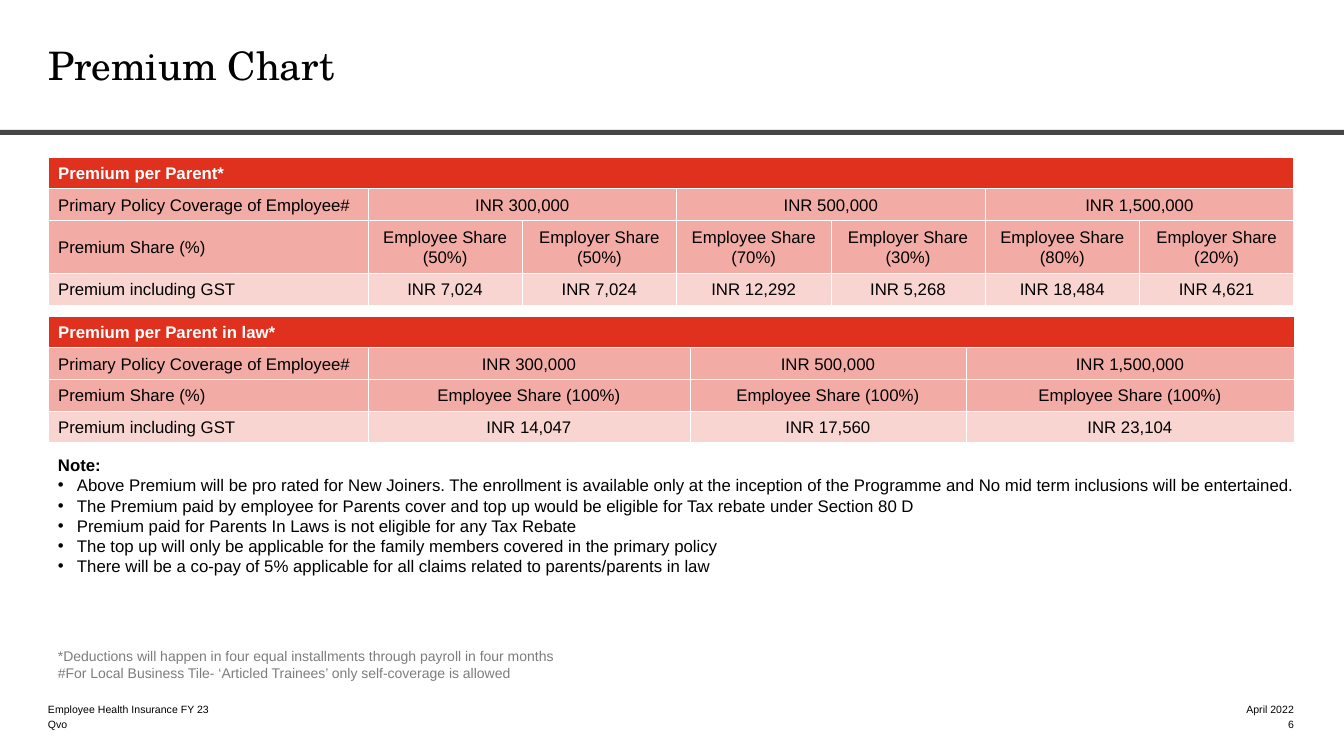
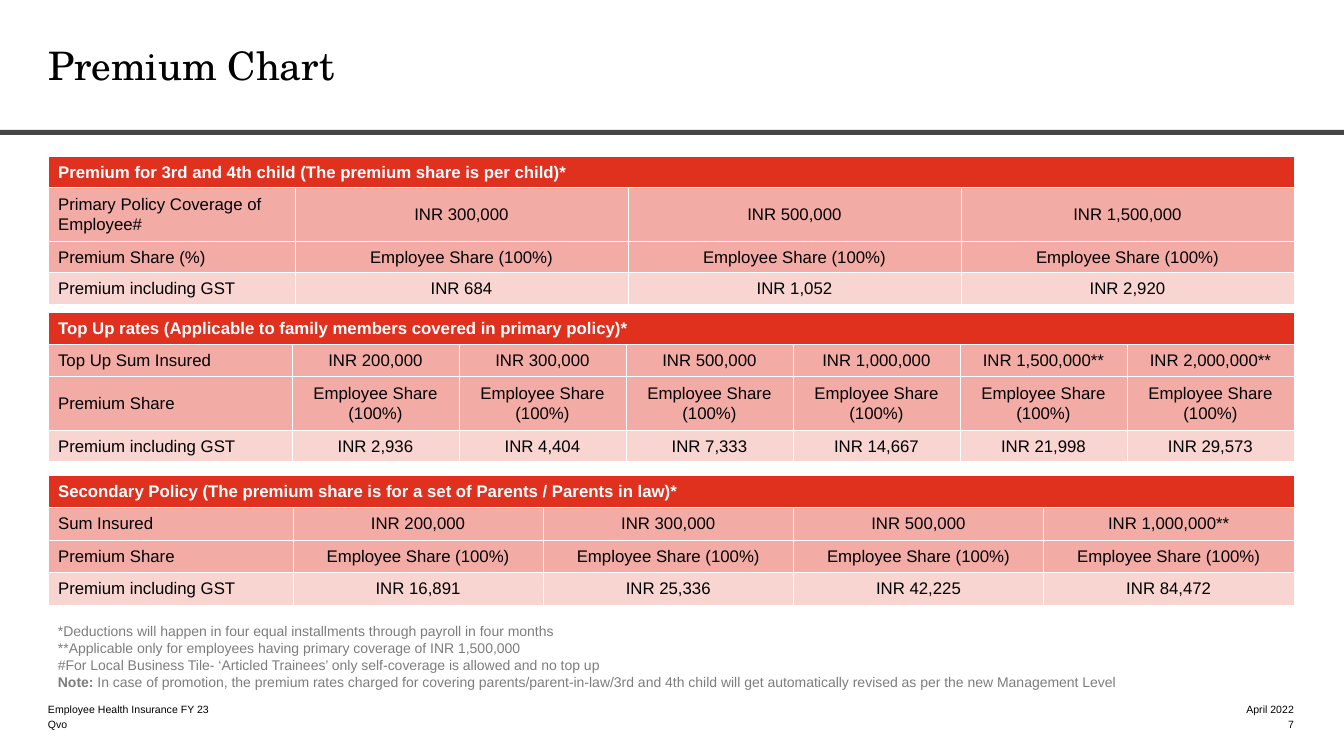
from dataclasses import dataclass

from lxml import etree
from pptx import Presentation
from pptx import util as u
from pptx.dml.color import RGBColor
from pptx.enum import shapes, text
from pptx.oxml import ns

PX = 914400 / 100.8


@dataclass(frozen=True)
class Theme:
    ink: str = "000000"
    white: str = "FFFFFF"
    band: str = "464646"
    head: str = "E0301E"
    mid: str = "F3ACA5"
    pale: str = "F9D5D2"
    gray: str = "7D7D7D"
    serif: str = "TeX Gyre Schola"
    sans: str = "Arial"
    title: float = 28
    body: float = 12
    small: float = 10
    foot: float = 7.5


T = Theme()
LEFT, WIDE = 48, 1246
MID = text.MSO_ANCHOR.MIDDLE
START, CENTER, END = text.PP_ALIGN.LEFT, text.PP_ALIGN.CENTER, text.PP_ALIGN.RIGHT


def write(par, runs, size, color, align=START, font=T.sans):
    """Add (words, bold) runs to a paragraph."""
    par.alignment = align
    for words, bold in runs:
        run = par.add_run()
        run.text = words
        run.font.name, run.font.size, run.font.bold = font, u.Pt(size), bold
        run.font.color.rgb = RGBColor.from_string(color)


def box(slide, at, lines, size, color, align=START, flush=False):
    """Add a wrapped text box; flush drops the insets and sits text at the base."""
    frame = slide.shapes.add_textbox(*(int(v * PX) for v in at)).text_frame
    frame.word_wrap = True
    if flush:
        frame.margin_left = frame.margin_right = frame.margin_top = frame.margin_bottom = 0
        frame.vertical_anchor = text.MSO_ANCHOR.BOTTOM
    for i, runs in enumerate(lines):
        par = frame.add_paragraph() if i else frame.paragraphs[0]
        write(par, runs, size, color, align)
    return frame


# Wording used in several tables
COVER = ["Primary Policy Coverage of Employee#", "INR 300,000", "INR 500,000", "INR 1,500,000"]
FULL = "Employee Share (100%)"
GST = "Premium including GST"
CUT = "*Deductions will happen in four equal installments through payroll in four months"
TILE = "#For Local Business Tile- ‘Articled Trainees’ only self-coverage is allowed"

# Tables: top, column widths (None: equal share of the rest), row heights, rows
parent = (157, [320] + [None] * 6, [30, 30, 50, 30], [
    ["Premium per Parent*"],
    COVER,
    ["Premium Share (%)", "Employee Share (50%)", "Employer Share (50%)",
     "Employee Share (70%)", "Employer Share (30%)",
     "Employee Share (80%)", "Employer Share (20%)"],
    [GST, "INR 7,024", "INR 7,024", "INR 12,292", "INR 5,268", "INR 18,484", "INR 4,621"],
])
inlaw = (316, [320, 322, 276, 328], [30] * 4, [
    ["Premium per Parent in law*"],
    COVER,
    ["Premium Share (%)"] + [FULL] * 3,
    [GST, "INR 14,047", "INR 17,560", "INR 23,104"],
])
child = (156, [247] + [None] * 3, [30, 51, 30, 30], [
    ["Premium for 3rd and 4th child (The premium share is per child)*"],
    COVER,
    ["Premium Share (%)"] + [FULL] * 3,
    [GST, "INR 684", "INR 1,052", "INR 2,920"],
])
topup = (312, [244] + [None] * 6, [32, 32, 54, 30], [
    ["Top Up rates (Applicable to family members covered in primary policy)*"],
    ["Top Up Sum Insured", "INR 200,000", "INR 300,000", "INR 500,000",
     "INR 1,000,000", "INR 1,500,000**", "INR 2,000,000**"],
    ["Premium Share"] + [FULL] * 6,
    [GST, "INR 2,936", "INR 4,404", "INR 7,333", "INR 14,667", "INR 21,998", "INR 29,573"],
])
second = (475, [245] + [None] * 4, [32, 33] * 2, [
    ["Secondary Policy (The premium share is for a set of Parents / Parents in law)*"],
    ["Sum Insured", "INR 200,000", "INR 300,000", "INR 500,000", "INR 1,000,000**"],
    ["Premium Share"] + [FULL] * 4,
    [GST, "INR 16,891", "INR 25,336", "INR 42,225", "INR 84,472"],
])

# Notes
points = [
    "Above Premium will be pro rated for New Joiners. The enrollment is available only at "
    "the inception of the Programme and No mid term inclusions will be entertained.",
    "The Premium paid by employee for Parents cover and top up would be eligible for "
    "Tax rebate under Section 80 D",
    "Premium paid for Parents In Laws is not eligible for any Tax Rebate",
    "The top up will only be applicable for the family members covered in the primary policy",
    "There will be a co-pay of 5% applicable for all claims related to parents/parents in law",
]
short = [[(CUT, False)], [(TILE, False)]]
long = [
    [(CUT, False)],
    [("**Applicable only for employees having primary coverage of INR 1,500,000", False)],
    [(TILE + " and no top up", False)],
    [("Note:", True),
     (" In case of promotion, the premium rates charged for covering parents/parent-in-law/"
      "3rd and 4th child will get automatically revised as per the new Management Level", False)],
]

# Pages: number, tables, bullet points, footnote place and lines
pages = [
    (6, [parent, inlaw], points, (LEFT, 643, 833, 44), short),
    (7, [child, topup, second], [], (LEFT, 618, WIDE, 78), long),
]

deck = Presentation()
deck.slide_width, deck.slide_height = int(1344 * PX), int(756 * PX)

for number, tables, bullets, place, notes in pages:
    slide = deck.slides.add_slide(deck.slide_layouts[5])

    # Title and band
    title = slide.shapes.title
    title.left, title.top = int(LEFT * PX), 0
    title.width, title.height = int(WIDE * PX), int(130 * PX)
    frame = title.text_frame
    frame.margin_left = frame.margin_right = frame.margin_top = frame.margin_bottom = 0
    frame.vertical_anchor = MID
    write(frame.paragraphs[0], [("Premium Chart", False)], T.title, T.ink, font=T.serif)
    band = slide.shapes.add_shape(shapes.MSO_SHAPE.RECTANGLE, 0, int(130 * PX),
                                  deck.slide_width, int(5 * PX))
    band.shadow.inherit = False
    band.fill.solid()
    band.fill.fore_color.rgb = RGBColor.from_string(T.band)
    band.line.fill.background()

    # Footers
    for x, y, width, words, align in [
        (LEFT, 701, 604, "Employee Health Insurance FY 23", START),
        (LEFT, 716, 604, "Qvo", START),
        (1100, 701, 194, "April 2022", END),
        (1100, 716, 194, str(number), END),
    ]:
        box(slide, (x, y, width, 15), [[(words, False)]], T.foot, T.ink, align, flush=True)

    # Tables
    for top, cols, heights, rows in tables:
        count = len(cols)
        grid = slide.shapes.add_table(len(rows), count, int(LEFT * PX), int(top * PX),
                                      int(WIDE * PX), int(sum(heights) * PX)).table
        grid.first_row = grid.horz_banding = False
        rest = WIDE - sum(c for c in cols if c)
        for c, width in enumerate(cols):
            grid.columns[c].width = int((width or rest / cols.count(None)) * PX)
        for r, (high, words) in enumerate(zip(heights, rows)):
            grid.rows[r].height = int(high * PX)
            fill = (T.head, T.mid, T.mid, T.pale)[r]
            for c in range(count):
                cell = grid.cell(r, c)
                cell.fill.solid()
                cell.fill.fore_color.rgb = RGBColor.from_string(fill)
                cell.vertical_anchor = MID
                props = cell._tc.get_or_add_tcPr()
                for i, side in enumerate(("lnL", "lnR", "lnT", "lnB")):
                    edge = etree.Element(ns.qn("a:" + side), w=str(u.Pt(0.5)))
                    paint = etree.SubElement(edge, ns.qn("a:solidFill"))
                    etree.SubElement(paint, ns.qn("a:srgbClr"), val=T.white)
                    props.insert(i, edge)
            # The heading fills its row; values share the columns after the label
            step = (count - 1) // max(len(words) - 1, 1)
            for i, word in enumerate(words):
                c = 1 + (i - 1) * step if i else 0
                last = count - 1 if r == 0 else c + step - 1 if i else 0
                cell = grid.cell(r, c)
                if last > c:
                    cell.merge(grid.cell(r, last))
                par = cell.text_frame.paragraphs[0]
                par.line_spacing = 1.07
                write(par, [(word, r == 0)], T.body, T.ink if r else T.white,
                      CENTER if i else START)

    # Bullet points
    if bullets:
        lines = [[("Note:", True)]] + [[(line, False)] for line in bullets]
        frame = box(slide, (LEFT, 450, 1271, 132), lines, T.body, T.ink)
        for par in frame.paragraphs[1:]:
            props = par._p.get_or_add_pPr()
            props.set("marL", str(int(19 * PX)))
            props.set("indent", str(-int(19 * PX)))
            etree.SubElement(props, ns.qn("a:buFont"), typeface=T.sans)
            etree.SubElement(props, ns.qn("a:buChar"), char="•")

    # Footnotes
    box(slide, place, notes, T.small, T.gray)

deck.save("out.pptx")
